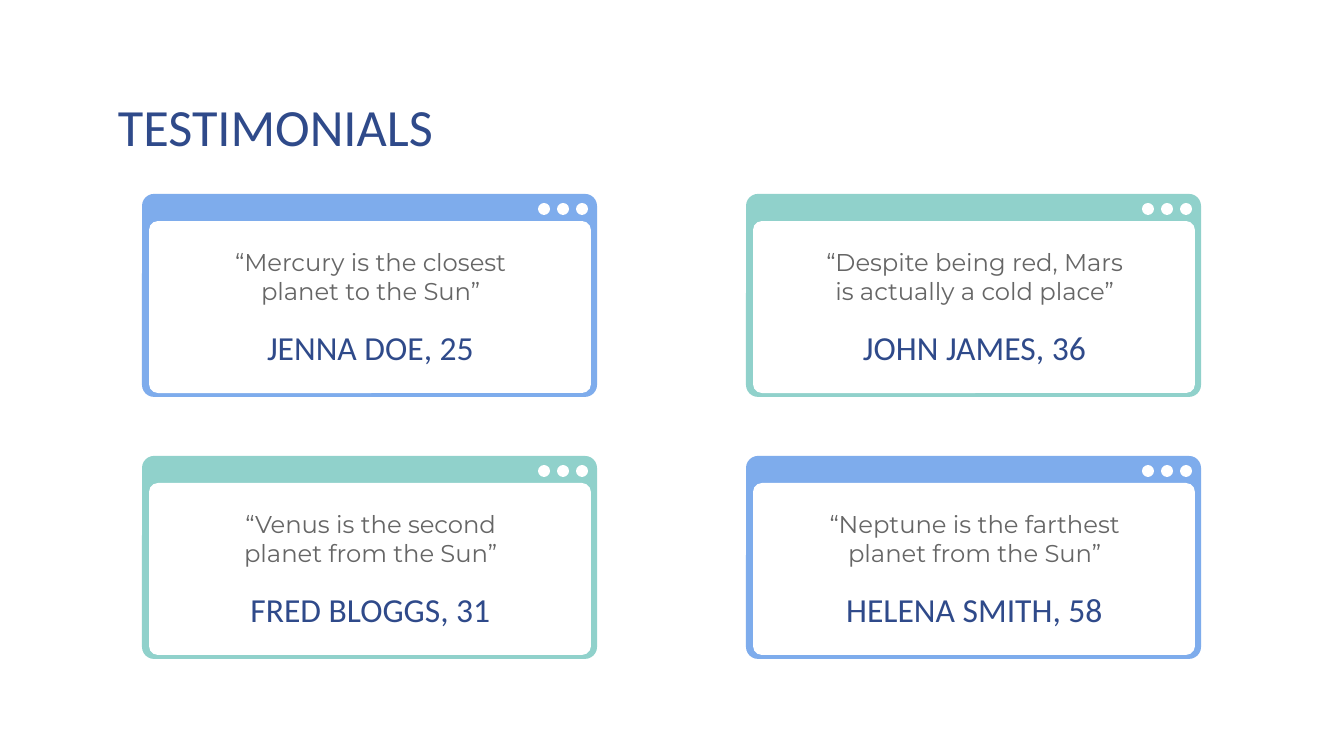
from pptx import Presentation
from pptx.dml.color import RGBColor
from pptx.enum.shapes import MSO_SHAPE
from pptx.enum.text import MSO_ANCHOR, PP_ALIGN
from pptx.util import Emu, Pt

COLORS = {
    "blue": "7EACEC",
    "teal": "90D1CB",
    "white": "FFFFFF",
    "navy": "2F4A8A",
    "gray": "666666",
}
PX = 914400 / 134.4
INSET = 13


def add_panel(kind, left, top, width, height, color, radius=0):
    panel = page.shapes.add_shape(kind, *[Emu(round(n * PX)) for n in (left, top, width, height)])
    panel.shadow.inherit = False
    panel.fill.solid()
    panel.fill.fore_color.rgb = RGBColor.from_string(COLORS[color])
    panel.line.fill.background()
    if radius:
        panel.adjustments[0] = radius / min(width, height)


def add_text(text, left, top, width, height, size, font, color, align, space_after=0):
    box = page.shapes.add_textbox(*[Emu(round(n * PX)) for n in (left, top, width, height)])
    frame = box.text_frame
    frame.word_wrap = True
    frame.vertical_anchor = MSO_ANCHOR.TOP
    frame.margin_left = frame.margin_right = Emu(round(INSET * PX))
    frame.margin_top = frame.margin_bottom = Emu(round(INSET * PX))
    frame.text = text
    para = frame.paragraphs[0]
    para.alignment = align
    para.space_after = Pt(space_after)
    span = para.runs[0]
    span.font.size = Pt(size)
    span.font.name = font
    span.font.color.rgb = RGBColor.from_string(COLORS[color])


deck = Presentation()
deck.slide_width = Emu(round(1344 * PX))
deck.slide_height = Emu(round(756 * PX))
page = deck.slides.add_slide(deck.slide_layouts[6])

add_text("TESTIMONIALS", 105, 81, 1134, 69, 28, "Calibri", "navy", PP_ALIGN.LEFT)

testimonials = [
    ("“Mercury is the closest planet to the Sun”", "JENNA DOE, 25", "blue"),
    ("“Despite being red, Mars is actually a cold place”", "JOHN JAMES, 36", "teal"),
    ("“Venus is the second planet from the Sun”", "FRED BLOGGS, 31", "teal"),
    ("“Neptune is the farthest planet from the Sun”", "HELENA SMITH, 58", "blue"),
]

for index, (quote, person, color) in enumerate(testimonials):
    row, column = divmod(index, 2)
    left = 142 + 604 * column
    top = 194 + 262 * row
    add_panel(MSO_SHAPE.ROUNDED_RECTANGLE, left, top, 455, 203, color, 12)
    add_panel(MSO_SHAPE.ROUNDED_RECTANGLE, left + 7, top + 27, 442, 172, "white", 9)
    for dot in range(3):
        add_panel(MSO_SHAPE.OVAL, left + 396 + 19 * dot, top + 9, 12, 12, "white")
    add_text(person, left + 61, top + 120, 335, 69, 18, "Calibri", "navy", PP_ALIGN.CENTER)
    add_text(quote, left + 61, top + 40, 335, 107, 13, "Montserrat", "gray", PP_ALIGN.CENTER, 12)

deck.save("out.pptx")
